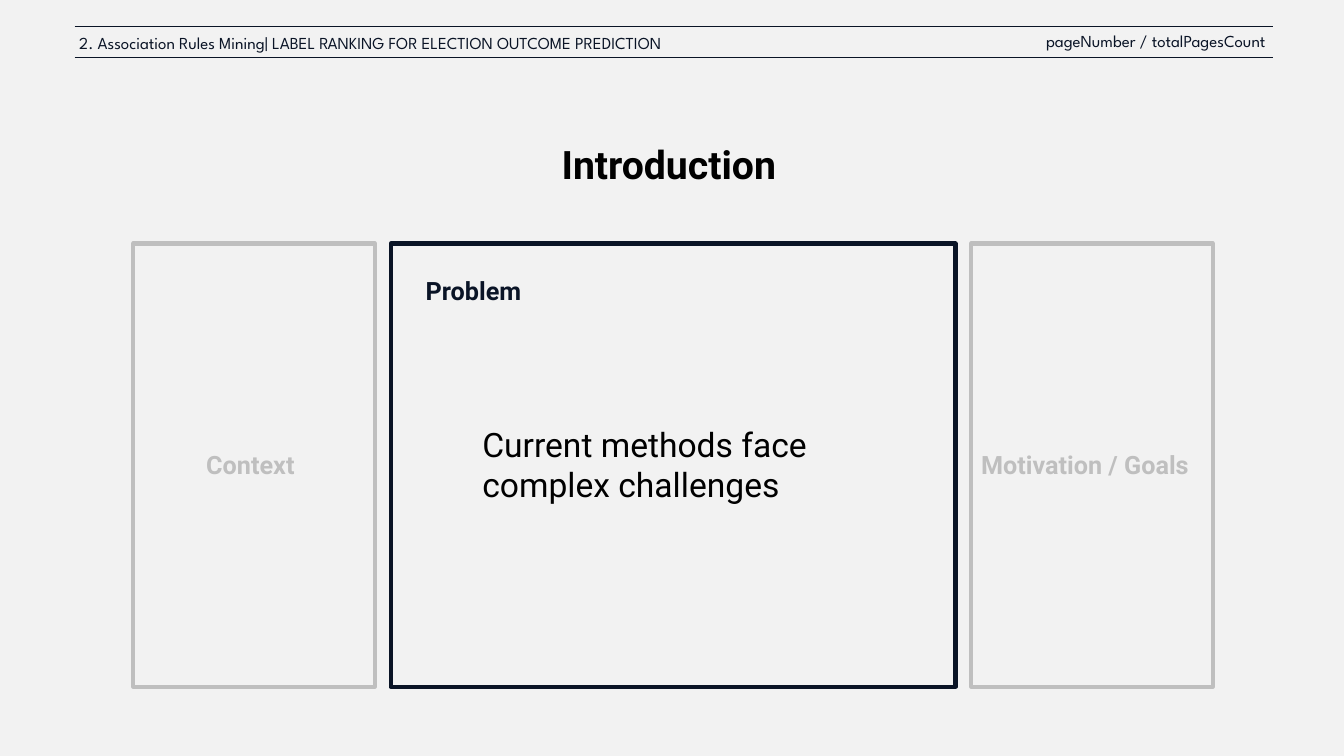
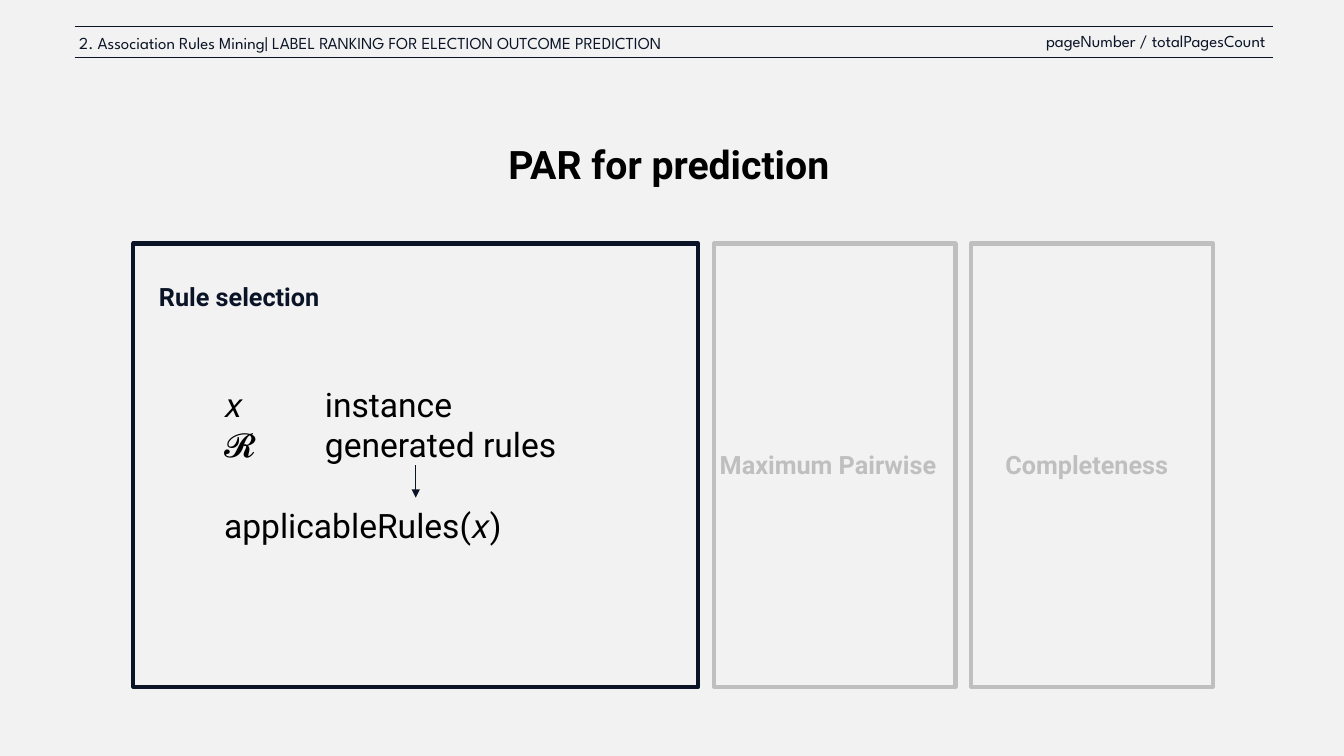
from lxml.etree import SubElement
from pptx import Presentation
from pptx.dml.color import RGBColor
from pptx.enum.shapes import MSO_CONNECTOR as Connector, MSO_SHAPE as Shape
from pptx.enum.text import MSO_ANCHOR as Anchor, PP_ALIGN as Align
from pptx.oxml.ns import qn
from pptx.util import Pt

PX = 9525
COLORS = {"paper": "F2F2F2", "navy": "0A1426", "muted": "BFBFBF", "black": "000000"}
STYLES = {
    "title": {"name": "Roboto", "size": Pt(28), "bold": True, "color": "black"},
    "header": {"name": "League Spartan", "size": Pt(12), "color": "navy"},
    "active": {"name": "Roboto", "size": Pt(18), "bold": True, "color": "navy"},
    "muted": {"name": "Roboto", "size": Pt(18), "bold": True, "color": "muted"},
    "body": {"name": "Roboto", "size": Pt(24), "bold": False, "color": "black"},
}
BODY_BOLD = {**STYLES["body"], "bold": True}
PANEL_LEFT, PANEL_TOP, PANEL_HEIGHT, PANEL_GAP = 127, 232, 422, 15
WIDE, NARROW = 538, 230
LABEL_HEIGHT, MUTED_LABEL_TOP = 38, 423


def px(*lengths):
    return [length * PX for length in lengths]


def rgb(name):
    return RGBColor.from_string(COLORS[name])


def add_span(para, text, style):
    span = para.add_run()
    span.text = text
    for key, value in style.items():
        if key == "color":
            span.font.color.rgb = rgb(value)
        else:
            setattr(span.font, key, value)


def add_text(page, area, text, style, align=Align.LEFT):
    box = page.shapes.add_textbox(*px(*area))
    box.text_frame.word_wrap = True
    para = box.text_frame.paragraphs[0]
    para.alignment = align
    add_span(para, text, style)


def add_line(page, start, end, width, arrow=False):
    line = page.shapes.add_connector(Connector.STRAIGHT, *px(*start, *end))
    line.line.color.rgb = rgb("navy")
    line.line.width = Pt(width)
    properties = line._element.spPr
    if arrow:
        SubElement(properties.find(qn("a:ln")), qn("a:tailEnd"), type="triangle")
    SubElement(properties, qn("a:effectLst"))


def add_panel(page, left, width, color):
    panel = page.shapes.add_shape(
        Shape.RECTANGLE, *px(left, PANEL_TOP, width, PANEL_HEIGHT))
    panel.shadow.inherit = False
    panel.fill.background()
    panel.line.color.rgb = rgb(color)
    panel.line.width = Pt(3)


def add_panels(page, panels):
    left = PANEL_LEFT
    for text, kind, label_left, label_top, label_width in panels:
        style = STYLES[kind]
        width = WIDE if kind == "active" else NARROW
        add_panel(page, left, width, style["color"])
        add_text(page, (label_left, label_top, label_width, LABEL_HEIGHT), text, style)
        left += width + PANEL_GAP


def add_header(page):
    for y in (25, 55):
        add_line(page, (71, y), (1212, y), 1)
    add_text(page, (66, 26, 904, 29),
             "2. Association Rules Mining| LABEL RANKING FOR ELECTION OUTCOME PREDICTION",
             STYLES["header"])
    add_text(page, (728, 25, 487, 29), "pageNumber / totalPagesCount",
             STYLES["header"], Align.RIGHT)


def add_page(deck, heading):
    page = deck.slides.add_slide(deck.slide_layouts[5])
    title = page.shapes.title
    title.left, title.top, title.width, title.height = px(275, 86, 724, 146)
    title.text_frame.vertical_anchor = Anchor.MIDDLE
    para = title.text_frame.paragraphs[0]
    para.alignment = Align.CENTER
    para.line_spacing = 0.9
    add_span(para, heading, STYLES["title"])
    add_header(page)
    return page


def add_rules(page, area, rows):
    box = page.shapes.add_textbox(*px(*area))
    frame = box.text_frame
    frame.word_wrap = True
    for index, (space, spans) in enumerate(rows):
        para = frame.add_paragraph() if index else frame.paragraphs[0]
        if space:
            para.space_before = Pt(space)
        tabs = SubElement(para._p.get_or_add_pPr(), qn("a:tabLst"))
        SubElement(tabs, qn("a:tab"), pos=str(96 * PX), algn="l")
        for text, style in spans:
            add_span(para, text, style)


def add_introduction(deck):
    page = add_page(deck, "Introduction")
    add_panels(page, [
        ("Context", "muted", 187, MUTED_LABEL_TOP, 110),
        ("Problem", "active", 396, 257, 116),
        ("Motivation / Goals", "muted", 925, MUTED_LABEL_TOP, 230),
    ])
    add_text(page, (450, 399, 384, 87),
             "Current methods face complex challenges", STYLES["body"])


def add_prediction(deck):
    page = add_page(deck, "PAR for prediction")
    add_panels(page, [
        ("Rule selection", "active", 142, 263, 183),
        ("Maximum Pairwise", "muted", 676, MUTED_LABEL_TOP, 238),
        ("Completeness", "muted", 948, MUTED_LABEL_TOP, 186),
    ])
    body = STYLES["body"]
    add_rules(page, (204, 361, 384, 165), [
        (0, [("𝑥", BODY_BOLD), ("\tinstance", body)]),
        (0, [("𝓡\tgenerated rules", body)]),
        (29, [("applicableRules(", body), ("𝑥", BODY_BOLD), (")", body)]),
    ])
    add_line(page, (396, 443), (396, 474), 0.5, arrow=True)


def main():
    deck = Presentation()
    deck.slide_width, deck.slide_height = px(1280, 720)
    fill = deck.slide_master.background.fill
    fill.solid()
    fill.fore_color.rgb = rgb("paper")
    add_introduction(deck)
    add_prediction(deck)
    deck.save("out.pptx")


if __name__ == "__main__":
    main()
